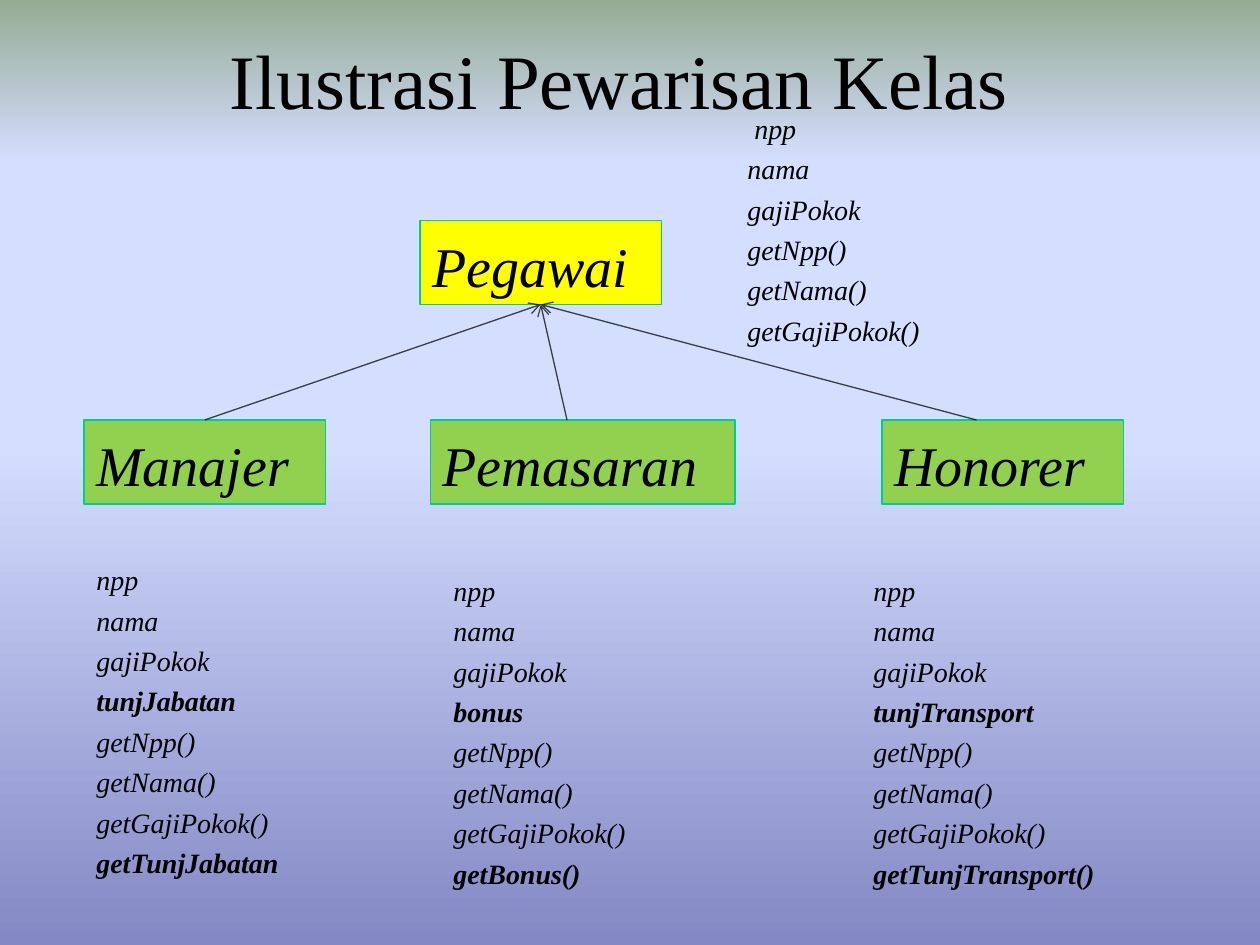
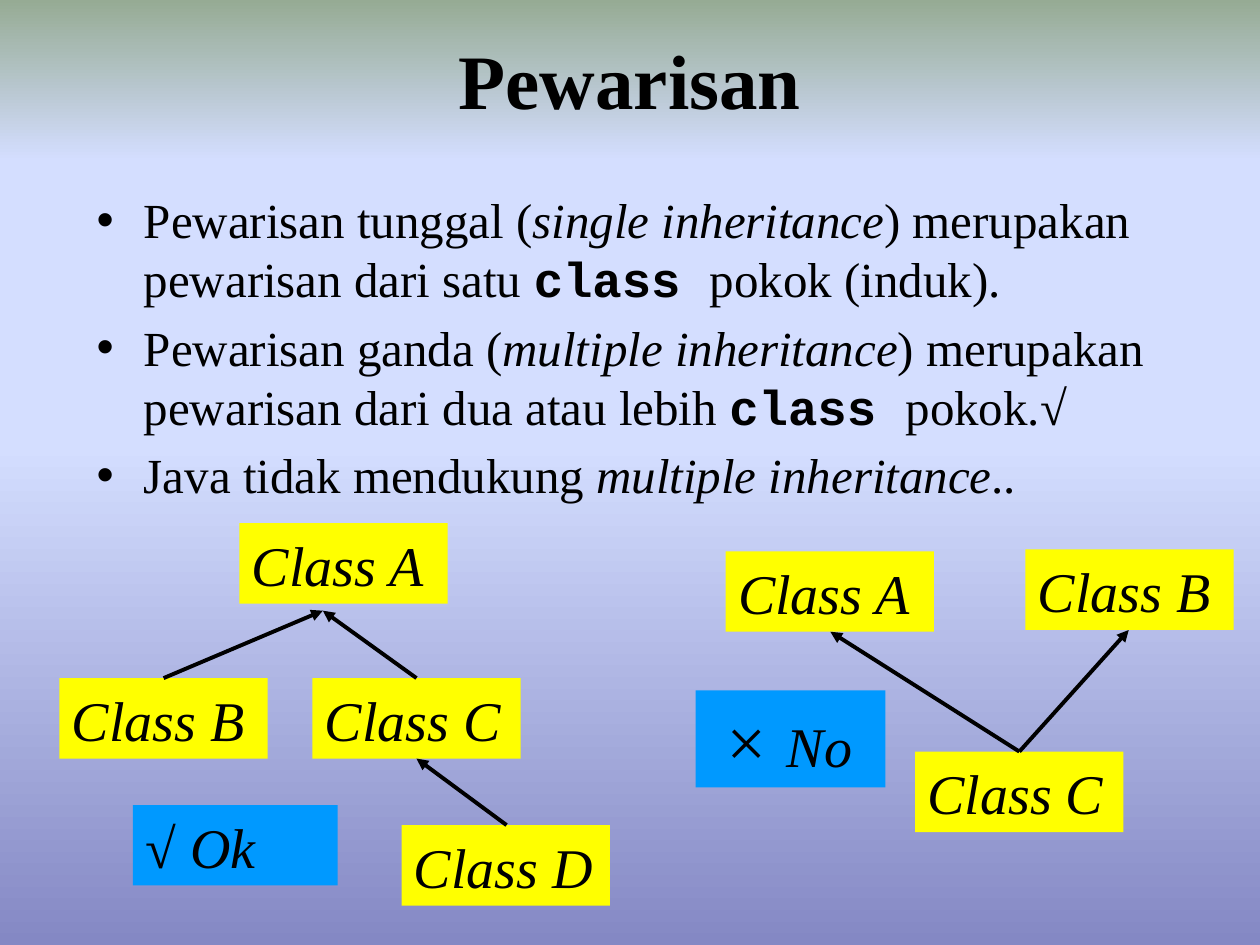
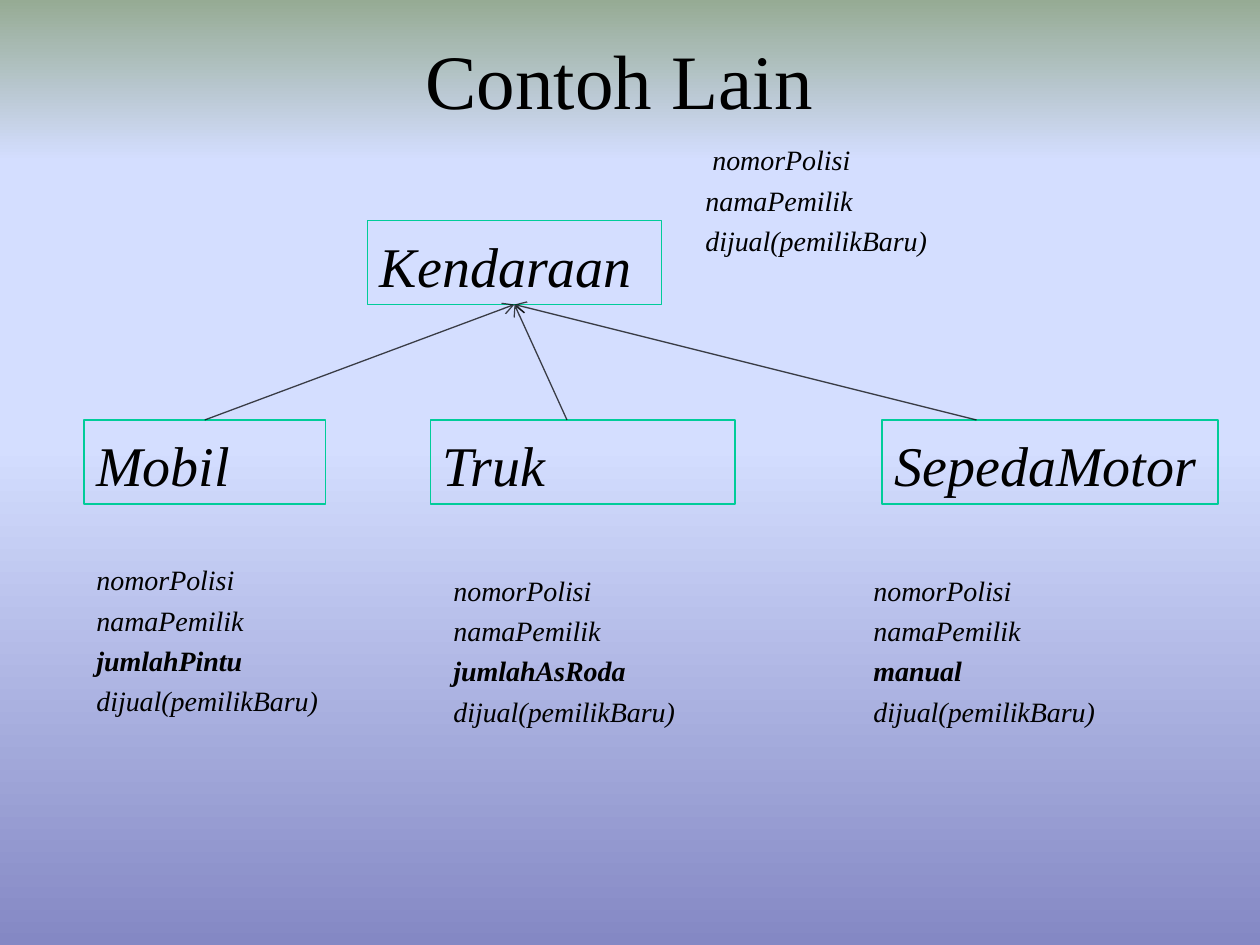
from lxml.etree import SubElement
from pptx import Presentation
from pptx.dml.color import RGBColor
from pptx.enum.shapes import MSO_CONNECTOR, MSO_SHAPE
from pptx.enum.text import MSO_ANCHOR, MSO_AUTO_SIZE, PP_ALIGN
from pptx.oxml.ns import qn
from pptx.util import Pt

BLACK = RGBColor(0, 0, 0)
YELLOW = RGBColor(0xFF, 0xFF, 0x00)
GREEN = RGBColor(0x92, 0xD0, 0x50)
TEAL = RGBColor(0x00, 0xCC, 0x99)
BLUE = RGBColor(0x00, 0x99, 0xFF)
SERIF = "Times New Roman"
MONO = "Courier New"
BACK = [(0, RGBColor(0x84, 0x88, 0xC4)), (53, RGBColor(0xD4, 0xDE, 0xFF)),
        (83, RGBColor(0xD4, 0xDE, 0xFF)), (100, RGBColor(0x96, 0xAB, 0x94))]

TITLE_ONLY, TITLE_BODY = 5, 1
CLASS_W, CLASS_H = 119, 46


def style(font, size, bold=False, italic=False, name=SERIF):
    font.name = name
    font.size = Pt(size)
    font.bold = bold
    font.italic = italic
    font.color.rgb = BLACK


def place(shape, left, top, width, height):
    shape.left, shape.top = Pt(left), Pt(top)
    shape.width, shape.height = Pt(width), Pt(height)


def paint_back(master):
    """Give the master the four-stop gradient, running upwards."""
    fill = master.background.fill
    fill.gradient()
    fill.gradient_angle = 90
    stops = next(master.element.iter(qn("a:gsLst")))
    for stop in list(stops):
        stops.remove(stop)
    for pos, color in BACK:
        stop = SubElement(stops, qn("a:gs"), pos=str(pos * 1000))
        SubElement(stop, qn("a:srgbClr"), val=str(color))


def add_slide(deck, layout, title, left=48, bold=False):
    slide = deck.slides.add_slide(deck.slide_layouts[layout])
    head = slide.shapes.title
    place(head, left, 0, 612, 90)
    frame = head.text_frame
    frame.text = title
    frame.auto_size = MSO_AUTO_SIZE.NONE
    frame.vertical_anchor = MSO_ANCHOR.MIDDLE
    para = frame.paragraphs[0]
    para.alignment = PP_ALIGN.CENTER
    style(para.runs[0].font, 44, bold)
    return slide


def add_box(slide, text, left, top, width, height, fill=None, line=None):
    box = slide.shapes.add_shape(MSO_SHAPE.RECTANGLE, Pt(left), Pt(top),
                                 Pt(width), Pt(height))
    box.shadow.inherit = False
    if fill is None:
        box.fill.background()
    else:
        box.fill.solid()
        box.fill.fore_color.rgb = fill
    if line is None:
        box.line.fill.background()
    else:
        box.line.color.rgb = line
        box.line.width = Pt(0.75)
    frame = box.text_frame
    frame.word_wrap = True
    frame.vertical_anchor = MSO_ANCHOR.BOTTOM
    para = frame.paragraphs[0]
    para.text = text
    para.alignment = PP_ALIGN.LEFT
    style(para.runs[0].font, 32, italic=True)
    return box


def add_arrow(slide, start, end, width, tip, alpha=None):
    line = slide.shapes.add_connector(
        MSO_CONNECTOR.STRAIGHT, *[Pt(n) for n in (*start, *end)])
    line.line.color.rgb = BLACK
    line.line.width = Pt(width)
    props = line.line._get_or_add_ln()
    if alpha:
        color = next(props.iter(qn("a:srgbClr")))
        SubElement(color, qn("a:alpha"), val=str(alpha * 1000))
    SubElement(props, qn("a:tailEnd"), type=tip)
    SubElement(line.element.spPr, qn("a:effectLst"))


def add_list(slide, lines, rect, bold=()):
    box = slide.shapes.add_textbox(*[Pt(n) for n in rect])
    frame = box.text_frame
    frame.word_wrap = True
    frame.text = "\n".join(lines)
    for i, para in enumerate(frame.paragraphs):
        para.space_before = Pt(3.9 if i else 0)
        style(para.runs[0].font, 16, para.text in bold, True)


def add_tree(slide, root, kids, fills):
    """Draw a parent class, its child classes and the arrows up to it."""
    name, left, width = root
    add_box(slide, name, left, 126, width, 48, fills[0], TEAL)
    spots = [(48, 117), (246, 324), (504, 558)]
    for (kid, size), (x, _) in zip(kids, spots):
        add_box(slide, kid, x, 240, size, 48, fills[1], TEAL)
    for _, foot in spots:
        add_arrow(slide, (foot, 240), (left + width / 2, 174), 0.75, "arrow", 73)


def add_members(slide, fields, methods, extras, widths, height):
    """List each child's members, with its own ones in bold."""
    spots = [(48, 318), (252, 324), (492, 324)]
    for own, (left, top), width in zip(extras, spots, widths):
        lines = fields + own[:1] + methods + own[1:]
        add_list(slide, lines, (left, top, width, height), own)


def add_points(slide, points):
    body = slide.placeholders[1]
    place(body, 48, 102, 630, 408)
    frame = body.text_frame
    frame.auto_size = MSO_AUTO_SIZE.NONE
    frame.vertical_anchor = MSO_ANCHOR.TOP
    frame.margin_top = Pt(6.4)
    looks = {"": {}, "i": {"italic": True}, "code": {"bold": True, "name": MONO}}
    for i, parts in enumerate(points):
        para = frame.add_paragraph() if i else frame.paragraphs[0]
        para.space_before = Pt(5.6 if i else 0)
        for text, look in parts:
            run = para.add_run()
            run.text = text
            style(run.font, 28, **looks[look])


def add_classes(slide, spots, links):
    for letter, left, top in spots:
        add_box(slide, f"Class {letter}", left, top, CLASS_W, CLASS_H, YELLOW)
    for start, end in links:
        add_arrow(slide, start, end, 2.25, "triangle")


def staff_slide(deck):
    slide = add_slide(deck, TITLE_ONLY, "Ilustrasi Pewarisan Kelas")
    add_tree(slide, ("Pegawai", 240, 138),
             [("Manajer", 138), ("Pemasaran", 174), ("Honorer", 138)],
             (YELLOW, GREEN))
    fields = ["npp", "nama", "gajiPokok"]
    methods = ["getNpp()", "getNama()", "getGajiPokok()"]
    add_list(slide, [" npp"] + fields[1:] + methods, (420, 60, 186, 163.5))
    add_members(slide, fields, methods,
                [["tunjJabatan", "getTunjJabatan"], ["bonus", "getBonus()"],
                 ["tunjTransport", "getTunjTransport()"]],
                (126, 138, 150), 189.5)


def kinds_slide(deck):
    slide = add_slide(deck, TITLE_BODY, "Pewarisan", 54, True)
    add_points(slide, [
        [("Pewarisan tunggal (", ""), ("single inheritance", "i"),
         (") merupakan pewarisan dari satu ", ""), ("class ", "code"),
         ("pokok (induk).", "")],
        [("Pewarisan ganda (", ""), ("multiple inheritance", "i"),
         (") merupakan pewarisan dari dua atau lebih ", ""), ("class ", "code"),
         ("pokok.√", "")],
        [("Java tidak mendukung ", ""), ("multiple inheritance", "i"), ("..", "")],
    ])
    add_classes(slide,
                [("A", 136.8, 299), ("B", 34, 387.5), ("C", 178.5, 387.5),
                 ("D", 229.5, 471.5)],
                [((93.5, 387.5), (184.5, 349)), ((238, 387.5), (184.5, 349)),
                 ((289.5, 471.5), (238, 433.5))])
    add_classes(slide,
                [("B", 586, 314), ("A", 414.7, 315), ("C", 523, 429.5)],
                [((582.5, 429.5), (474.5, 361)), ((582.5, 429.5), (645, 360))])
    add_box(slide, "√ Ok", 76, 460, 117, 46, BLUE)
    no = add_box(slide, " ", 397.5, 394.5, 108.5, 55.5, BLUE)
    for text, size in (("× ", 40), ("No", 32)):
        run = no.text_frame.paragraphs[0].add_run()
        run.text = text
        style(run.font, size, italic=True)


def vehicle_slide(deck):
    slide = add_slide(deck, TITLE_ONLY, "Contoh Lain")
    add_tree(slide, ("Kendaraan", 210, 168),
             [("Mobil", 138), ("Truk", 174), ("SepedaMotor", 192)],
             (None, None))
    fields = ["nomorPolisi", "namaPemilik"]
    methods = ["dijual(pemilikBaru)"]
    add_list(slide, [" nomorPolisi"] + fields[1:] + methods, (396, 78, 186, 93.5))
    add_members(slide, fields, methods,
                [["jumlahPintu"], ["jumlahAsRoda"], ["manual"]],
                (162, 162, 162), 96.5)


def main():
    deck = Presentation()
    deck.slide_width, deck.slide_height = Pt(720), Pt(540)
    paint_back(deck.slide_master)
    staff_slide(deck)
    kinds_slide(deck)
    vehicle_slide(deck)
    deck.save("out.pptx")


if __name__ == "__main__":
    main()
